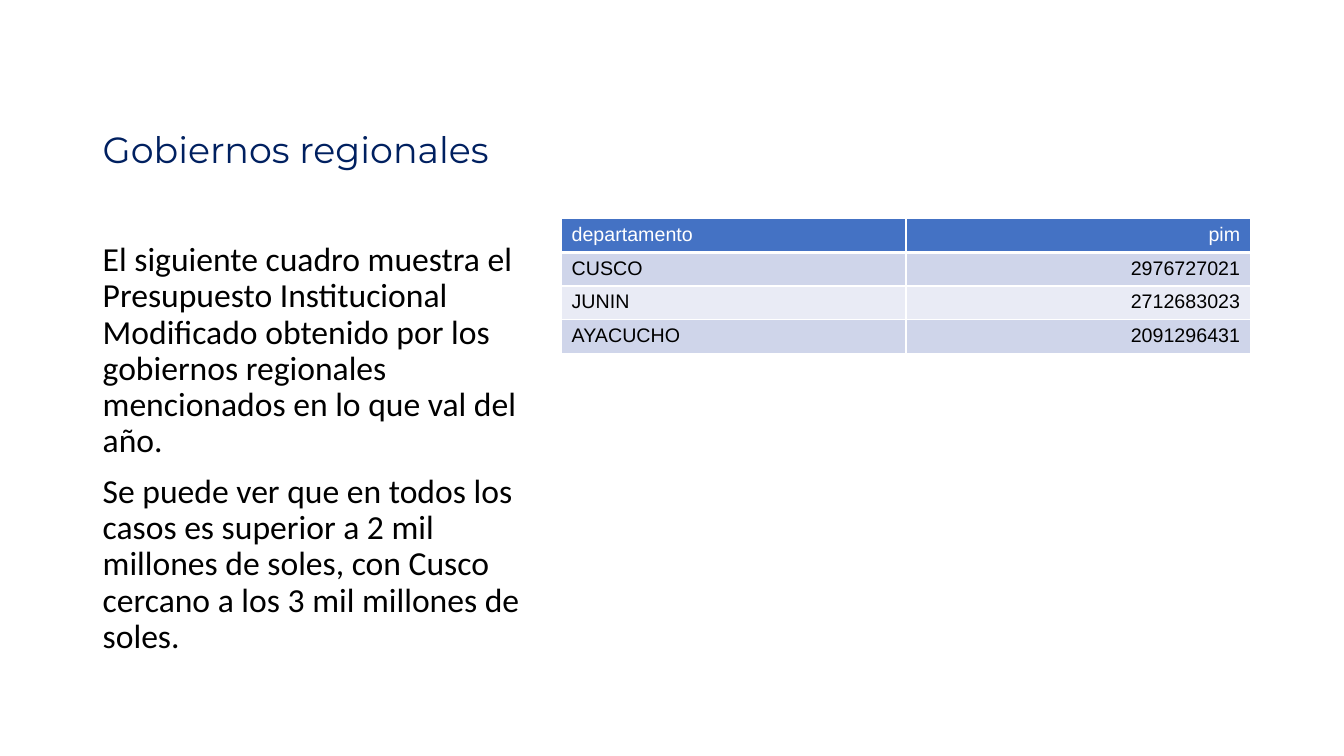
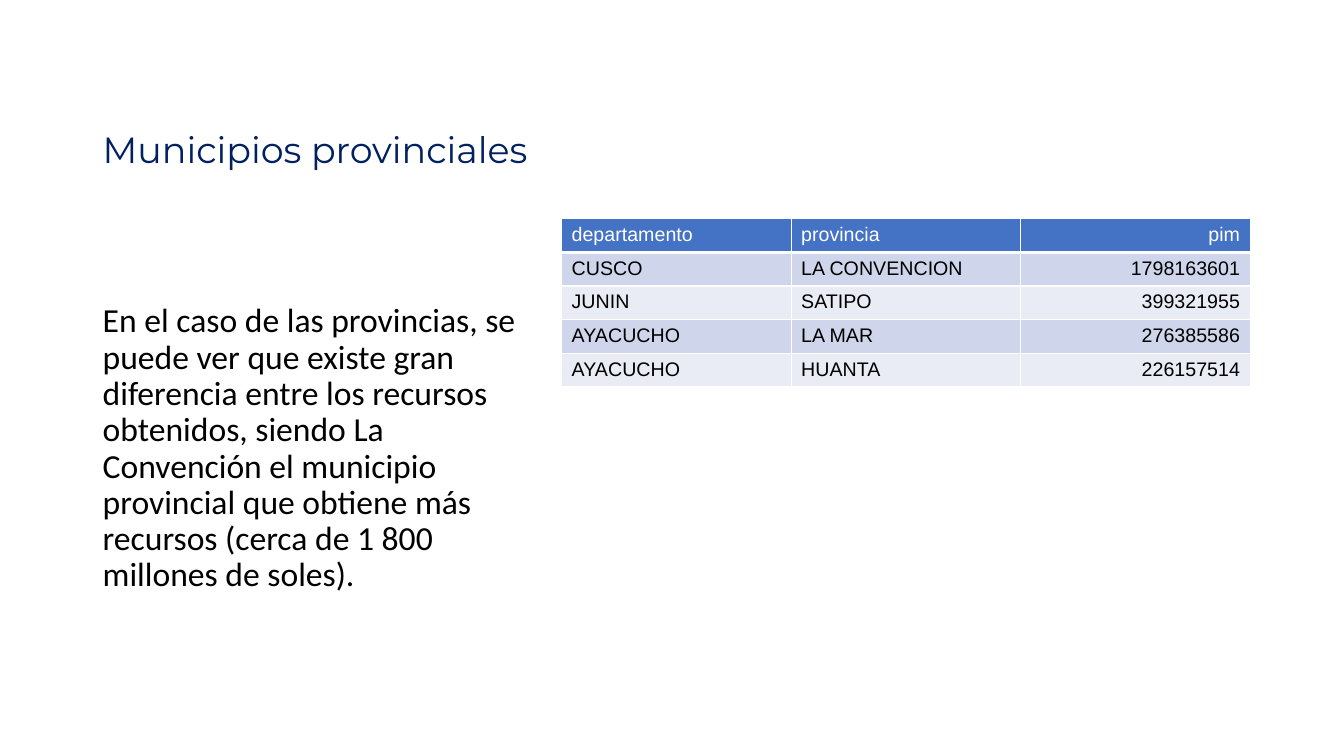
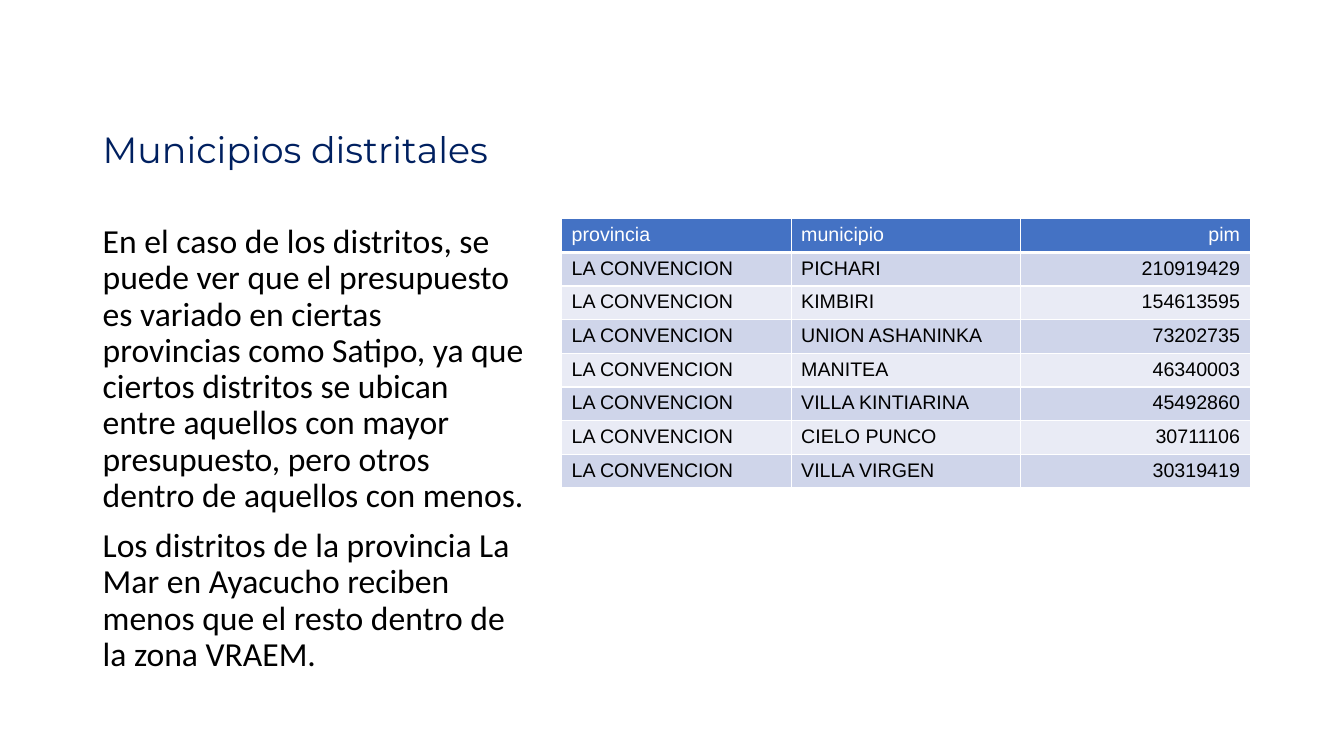
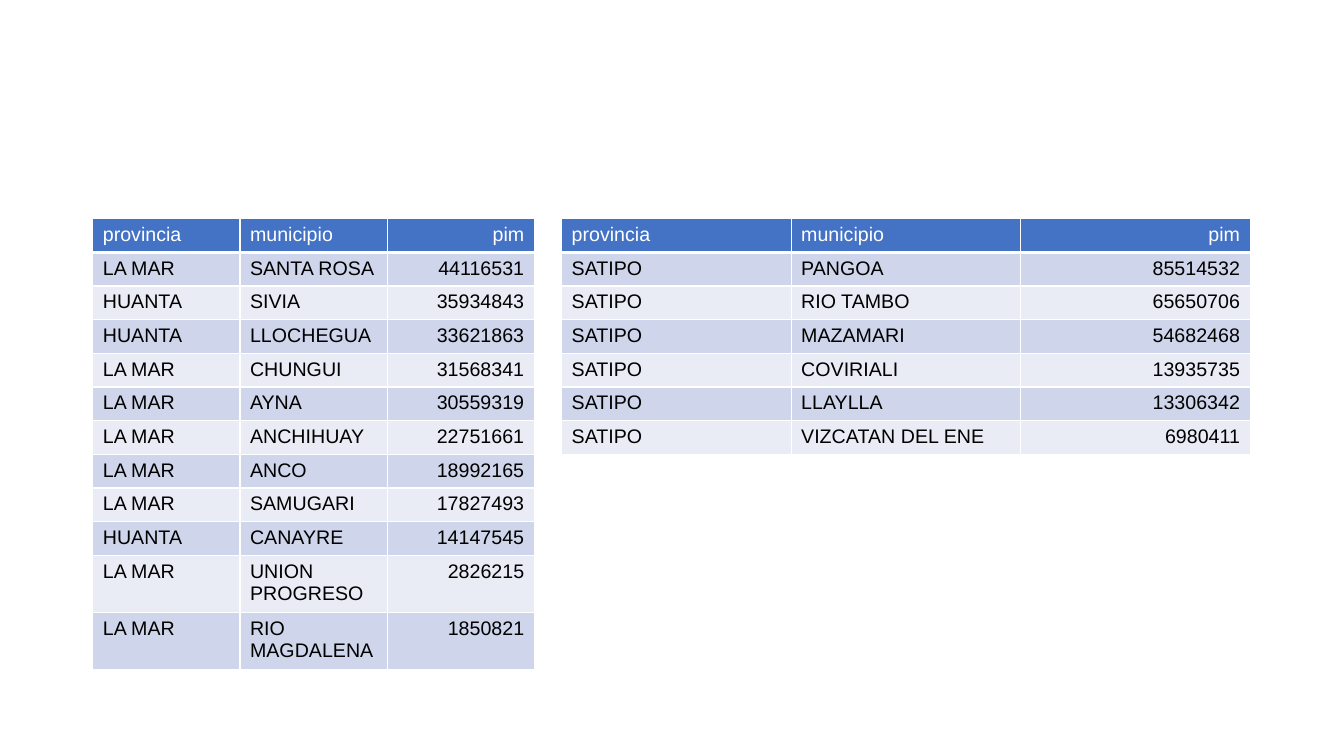
import pptx
import pptx.util
import pptx.dml.color
import pptx.enum.text
import pptx.oxml
import pptx.oxml.ns

Inches, Pt = pptx.util.Inches, pptx.util.Pt
ALIGN, ANCHOR = pptx.enum.text.PP_ALIGN, pptx.enum.text.MSO_ANCHOR

COLORS = {
    "title": "002060", "text": "000000", "header": "4472C4",
    "header_text": "FFFFFF", "odd": "CFD5EA", "even": "E9EBF5", "border": "FFFFFF",
}
TITLE_STYLE = ("Montserrat", 26, "title")
BODY_STYLE = ("Calibri", 24, "text")
TABLE_FONT, TABLE_SIZE = "Arial", 14

LEFT, LEFT_W = 0.92, 4.38
RIGHT, RIGHT_W = 5.57, 6.83
TOP, BODY_H, ROW_H = 2.17, 4.57, 0.32
TITLE_BOX = (LEFT, 1.16, 11.5, 0.69)
BODY_BOX = (LEFT, TOP, LEFT_W, BODY_H)

DISTRICT_HEADER = ("provincia", "municipio", "pim")

SLIDES = [
    {
        "title": "Gobiernos regionales",
        "body": [
            "El siguiente cuadro muestra el Presupuesto Institucional Modificado obtenido "
            "por los gobiernos regionales mencionados en lo que val del año.",
            "Se puede ver que en todos los casos es superior a 2 mil millones de soles, "
            "con Cusco cercano a los 3 mil millones de soles.",
        ],
        "right": [
            ("departamento", "pim"),
            ("CUSCO", 2976727021),
            ("JUNIN", 2712683023),
            ("AYACUCHO", 2091296431),
        ],
    },
    {
        "title": "Municipios provinciales",
        "body": [
            "En el caso de las provincias, se puede ver que existe gran diferencia entre "
            "los recursos obtenidos, siendo La Convención el municipio provincial que "
            "obtiene más recursos (cerca de 1 800 millones de soles).",
        ],
        "right": [
            ("departamento", "provincia", "pim"),
            ("CUSCO", "LA CONVENCION", 1798163601),
            ("JUNIN", "SATIPO", 399321955),
            ("AYACUCHO", "LA MAR", 276385586),
            ("AYACUCHO", "HUANTA", 226157514),
        ],
    },
    {
        "title": "Municipios distritales",
        "body": [
            "En el caso de los distritos, se puede ver que el presupuesto es variado en "
            "ciertas provincias como Satipo, ya que ciertos distritos se ubican entre "
            "aquellos con mayor presupuesto, pero otros dentro de aquellos con menos.",
            "Los distritos de la provincia La Mar en Ayacucho reciben menos que el resto "
            "dentro de la zona VRAEM.",
        ],
        "right": [
            DISTRICT_HEADER,
            ("LA CONVENCION", "PICHARI", 210919429),
            ("LA CONVENCION", "KIMBIRI", 154613595),
            ("LA CONVENCION", "UNION ASHANINKA", 73202735),
            ("LA CONVENCION", "MANITEA", 46340003),
            ("LA CONVENCION", "VILLA KINTIARINA", 45492860),
            ("LA CONVENCION", "CIELO PUNCO", 30711106),
            ("LA CONVENCION", "VILLA VIRGEN", 30319419),
        ],
    },
    {
        "left": [
            DISTRICT_HEADER,
            ("LA MAR", "SANTA ROSA", 44116531),
            ("HUANTA", "SIVIA", 35934843),
            ("HUANTA", "LLOCHEGUA", 33621863),
            ("LA MAR", "CHUNGUI", 31568341),
            ("LA MAR", "AYNA", 30559319),
            ("LA MAR", "ANCHIHUAY", 22751661),
            ("LA MAR", "ANCO", 18992165),
            ("LA MAR", "SAMUGARI", 17827493),
            ("HUANTA", "CANAYRE", 14147545),
            ("LA MAR", "UNION PROGRESO", 2826215),
            ("LA MAR", "RIO MAGDALENA", 1850821),
        ],
        "right": [
            DISTRICT_HEADER,
            ("SATIPO", "PANGOA", 85514532),
            ("SATIPO", "RIO TAMBO", 65650706),
            ("SATIPO", "MAZAMARI", 54682468),
            ("SATIPO", "COVIRIALI", 13935735),
            ("SATIPO", "LLAYLLA", 13306342),
            ("SATIPO", "VIZCATAN DEL ENE", 6980411),
        ],
    },
]


def rgb(name):
    return pptx.dml.color.RGBColor.from_string(COLORS[name])


def add_run(p, text, font, size, color):
    r = p.add_run()
    r.text = text
    r.font.name, r.font.size = font, Pt(size)
    r.font.color.rgb = rgb(color)


def add_text(s, box, paragraphs, style, space_before=0):
    tf = s.shapes.add_textbox(*map(Inches, box)).text_frame
    tf.word_wrap = True
    tf.vertical_anchor = ANCHOR.MIDDLE
    for i, text in enumerate(paragraphs):
        p = tf.add_paragraph() if i else tf.paragraphs[0]
        p.line_spacing = 0.9
        p.space_before = Pt(space_before)
        add_run(p, text, *style)


def set_borders(cell, bottom):
    tcPr = cell._tc.get_or_add_tcPr()
    widths = {"lnL": 1, "lnR": 1, "lnT": 1, "lnB": bottom}
    for i, (tag, width) in enumerate(widths.items()):
        tcPr.insert(i, pptx.oxml.parse_xml(
            f'<a:{tag} {pptx.oxml.ns.nsdecls("a")} w="{Pt(width)}"><a:solidFill>'
            f'<a:srgbClr val="{COLORS["border"]}"/></a:solidFill></a:{tag}>'))


def add_budget_table(s, left, width, rows):
    n_cols = len(rows[0])
    table = s.shapes.add_table(
        len(rows), n_cols, Inches(left), Inches(TOP),
        Inches(width), Inches(ROW_H * len(rows))).table
    table.first_row = table.horz_banding = False
    for column in table.columns:
        column.width = Inches(width / n_cols)
    for i, row in enumerate(rows):
        table.rows[i].height = Inches(ROW_H)
        fill = "header" if i == 0 else "odd" if i % 2 else "even"
        for j, value in enumerate(row):
            cell = table.cell(i, j)
            cell.fill.solid()
            cell.fill.fore_color.rgb = rgb(fill)
            set_borders(cell, bottom=1 if i else 3)
            p = cell.text_frame.paragraphs[0]
            p.alignment = ALIGN.RIGHT if j == n_cols - 1 else ALIGN.LEFT
            add_run(p, str(value), TABLE_FONT, TABLE_SIZE, "text" if i else "header_text")


prs = pptx.Presentation()
prs.slide_width, prs.slide_height = Inches(13.33), Inches(7.5)

for content in SLIDES:
    s = prs.slides.add_slide(prs.slide_layouts[6])
    if "title" in content:
        add_text(s, TITLE_BOX, [content["title"]], TITLE_STYLE)
        add_text(s, BODY_BOX, content["body"], BODY_STYLE, space_before=10)
    if "left" in content:
        add_budget_table(s, LEFT, LEFT_W, content["left"])
    add_budget_table(s, RIGHT, RIGHT_W, content["right"])

prs.save("out.pptx")
